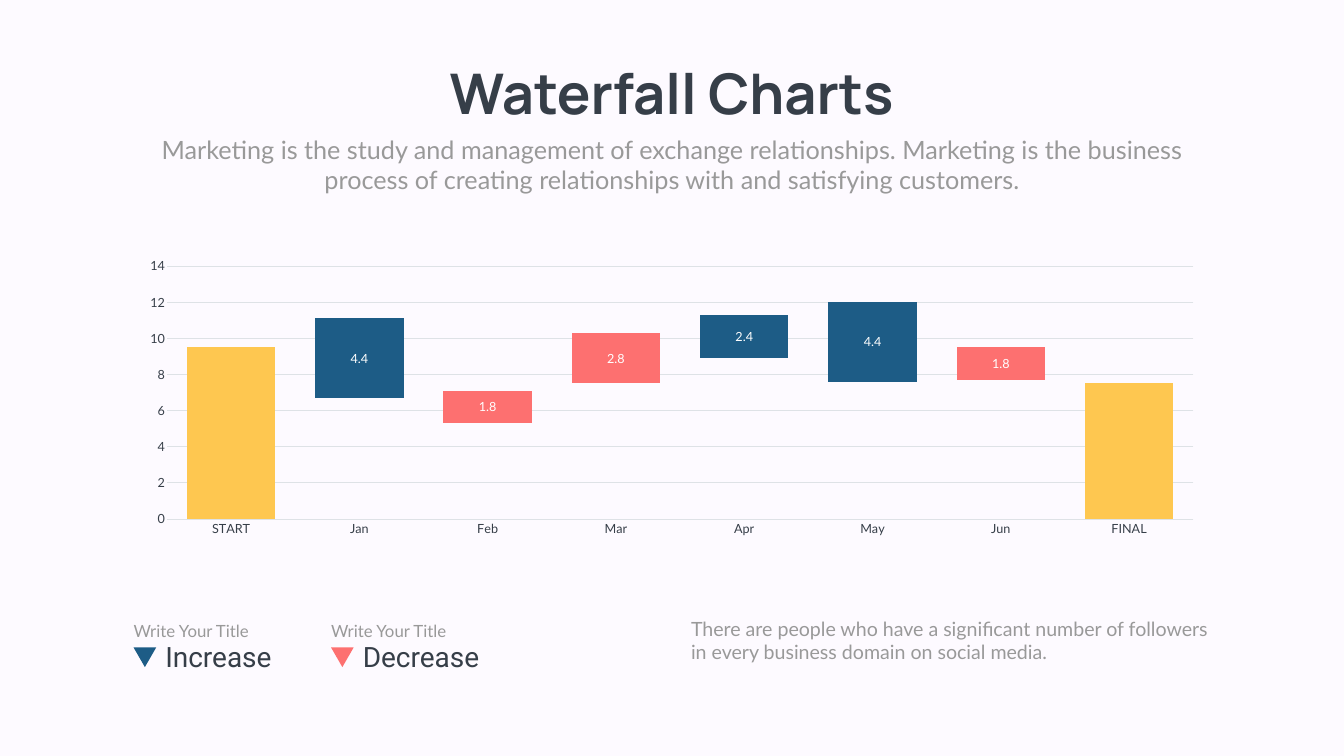
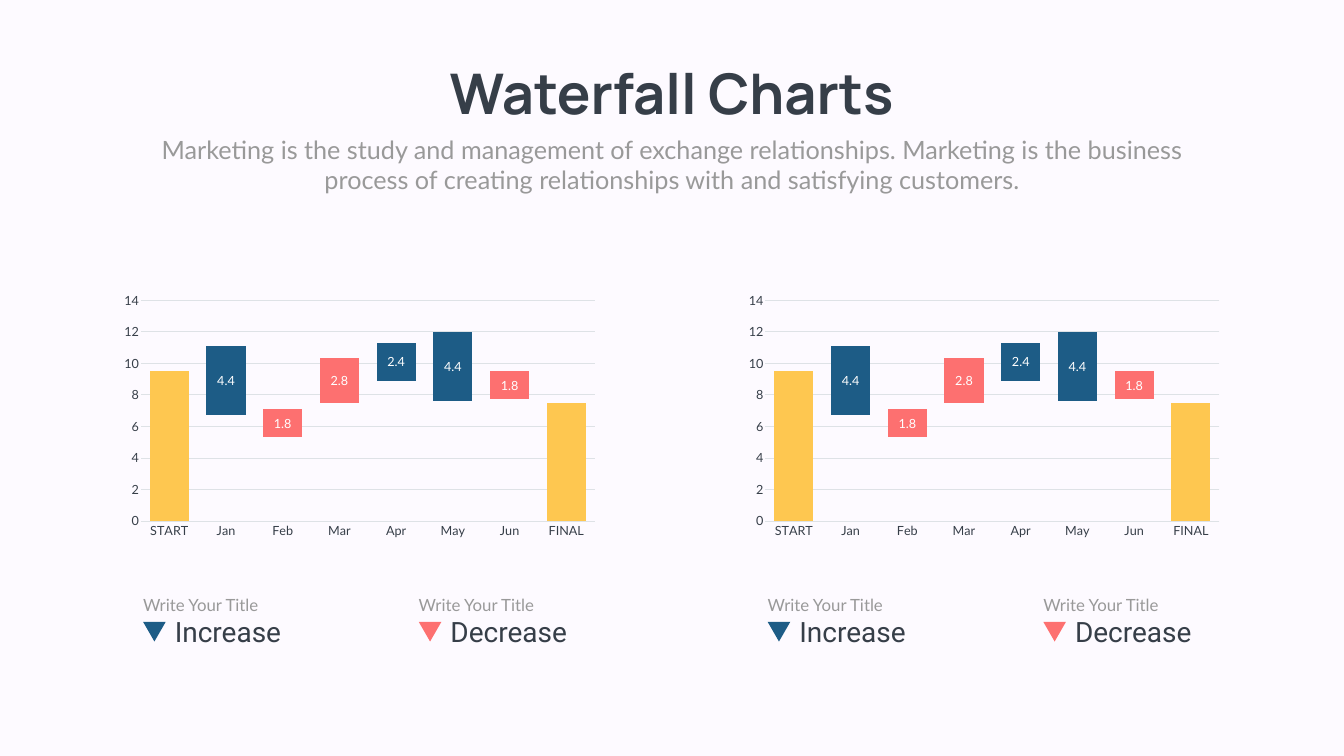
from lxml import etree
from pptx import Presentation
from pptx.chart.data import CategoryChartData
from pptx.dml.color import RGBColor
from pptx.enum.chart import XL_CHART_TYPE, XL_LABEL_POSITION, XL_TICK_MARK
from pptx.enum.shapes import MSO_SHAPE
from pptx.enum.text import MSO_AUTO_SIZE, PP_ALIGN
from pptx.oxml.ns import qn
from pptx.util import Cm, Pt

# Colours and fonts
PAPER = RGBColor(0xFD, 0xFA, 0xFF)
INK = RGBColor(0x36, 0x3E, 0x48)
GREY = RGBColor(0x99, 0x99, 0x99)
RULE = RGBColor(0xDE, 0xE2, 0xE6)
WHITE = RGBColor(0xFF, 0xFF, 0xFF)
BLUE = RGBColor(0x1D, 0x5C, 0x86)
RED = RGBColor(0xFD, 0x70, 0x70)
GOLD = RGBColor(0xFE, 0xC7, 0x50)
HEAD, BODY, LABEL = "Manrope", "Lato", "Roboto"

STACKED = XL_CHART_TYPE.COLUMN_STACKED
MIDDLE = XL_LABEL_POSITION.CENTER
NO_TICK = XL_TICK_MARK.NONE
TRIANGLE = MSO_SHAPE.ISOSCELES_TRIANGLE
GROW = MSO_AUTO_SIZE.SHAPE_TO_FIT_TEXT
LEFT, CENTER = PP_ALIGN.LEFT, PP_ALIGN.CENTER

# Waterfall data: each bar stands on a base; the ends are totals
STEPS = ["START", "Jan", "Feb", "Mar", "Apr", "May", "Jun", "FINAL"]
BASES = [9.5, 6.7, 5.3, 7.5, 8.9, 7.6, 7.7, 7.5]
MOVES = [2.4, 4.4, 1.8, 2.8, 2.4, 4.4, 1.8, 2.1]
ENDS = (0, len(STEPS) - 1)
RISES = (1, 4, 5)

TITLE = "Waterfall Charts"
INTRO = ("Marketing is the study and management of exchange relationships. "
         "Marketing is the business process of creating relationships "
         "with and satisfying customers.")
NOTE = ("There are people who have a significant number of followers "
        "in every business domain on social media.")


def set_font(font, size, color, face=BODY, bold=False):
    font.size, font.name, font.bold = Pt(size), face, bold
    font.color.rgb = color


class Deck:
    def __init__(self):
        self.prs = Presentation()
        self.prs.slide_width, self.prs.slide_height = Cm(67.72), Cm(38.1)
        fill = self.prs.slide_master.background.fill
        fill.solid()
        fill.fore_color.rgb = PAPER
        self.slide = None

    def new_slide(self):
        self.slide = self.prs.slides.add_slide(self.prs.slide_layouts[6])
        self.text(TITLE, 21.44, 2.84, 24.82, 3.68, size=80, face=HEAD,
                  color=INK, bold=True, align=CENTER, wrap=False)
        self.text(INTRO, 7.42, 6.63, 52.88, 3.33, size=36, align=CENTER)

    def text(self, words, x, y, w, h, size=24, face=BODY, color=GREY,
             bold=False, align=LEFT, wrap=True, pitch=None):
        box = self.slide.shapes.add_textbox(Cm(x), Cm(y), Cm(w), Cm(h))
        frame = box.text_frame
        frame.word_wrap, frame.auto_size = wrap, GROW
        para = frame.paragraphs[0]
        para.alignment = align
        if pitch:
            para.line_spacing = Pt(pitch)
        run = para.add_run()
        run.text = words
        set_font(run.font, size, color, face, bold)

    def key(self, name, color, x, y):
        """Legend entry: caption, marker and name."""
        self.text("Write Your Title", x, y, 6.83, 1.52, pitch=40.8)
        self.text(name, x + 1.6, y + 1.4, 6.83, 1.96,
                  size=40, face=LABEL, color=INK)
        mark = self.slide.shapes.add_shape(
            TRIANGLE, Cm(x + 0.25), Cm(y + 1.9), Cm(1.14), Cm(0.99))
        mark.rotation = 180
        mark.shadow.inherit = False
        mark.fill.solid()
        mark.fill.fore_color.rgb = color
        mark.line.fill.background()

    def keys(self, x, y, step):
        for i, (name, color) in enumerate(
                [("Increase", BLUE), ("Decrease", RED)]):
            self.key(name, color, x + i * step, y)

    def chart(self, x, y, w, h):
        data = CategoryChartData()
        data.categories = STEPS
        data.add_series("Series 1", BASES)
        data.add_series("Series 2", MOVES)
        chart = self.slide.shapes.add_chart(
            STACKED, Cm(x), Cm(y), Cm(w), Cm(h), data).chart
        chart.has_legend = chart.has_title = False
        set_font(chart.font, 18, GREY)
        plot = chart.plots[0]
        plot.gap_width, plot.overlap = 45, 100
        plot.vary_by_categories = False

        # Axes
        cats, vals = chart.category_axis, chart.value_axis
        for axis in (cats, vals):
            axis.major_tick_mark = axis.minor_tick_mark = NO_TICK
            set_font(axis.tick_labels.font, 18, INK)
        vals.minimum_scale, vals.maximum_scale, vals.major_unit = 0, 14, 2
        vals.has_major_gridlines = True
        vals.format.line.fill.background()
        for line in (cats.format.line, vals.major_gridlines.format.line):
            line.color.rgb = RULE
            line.width = Pt(0.75)

        # Bars
        base, move = plot.series
        for bars, color in ((base, BLUE), (move, RED)):
            bars.invert_if_negative = False
            bars.format.fill.solid()
            bars.format.fill.fore_color.rgb = color
        for i in range(len(STEPS)):
            self.paint(base, i, GOLD if i in ENDS else None)
            if i in ENDS:
                self.paint(move, i, None)
            elif i in RISES:
                self.paint(move, i, BLUE)

        # Labels on the moves only
        labels = move.data_labels
        labels.show_value, labels.position = True, MIDDLE
        set_font(labels.font, 18, WHITE)
        root = move.format.fill and labels._element
        for place, i in enumerate(ENDS):
            label = etree.Element(qn("c:dLbl"))
            etree.SubElement(label, qn("c:idx")).set("val", str(i))
            etree.SubElement(label, qn("c:delete")).set("val", "1")
            root.insert(place, label)

    def paint(self, bars, i, color):
        fill = bars.points[i].format.fill
        if color is None:
            fill.background()
        else:
            fill.solid()
            fill.fore_color.rgb = color


def main():
    deck = Deck()

    # Slide 1: one wide chart
    deck.new_slide()
    deck.chart(6.48, 12.73, 54.74, 14.58)
    deck.keys(6.48, 30.73, 9.95)
    deck.text(NOTE, 34.57, 30.96, 26.67, 2.64, size=28)

    # Slide 2: two charts side by side
    deck.new_slide()
    for shift in (0, 31.47):
        deck.chart(5.77 + shift, 14.48, 24.69, 12.9)
        deck.keys(6.96 + shift, 29.44, 13.89)

    deck.prs.save("out.pptx")


if __name__ == "__main__":
    main()
